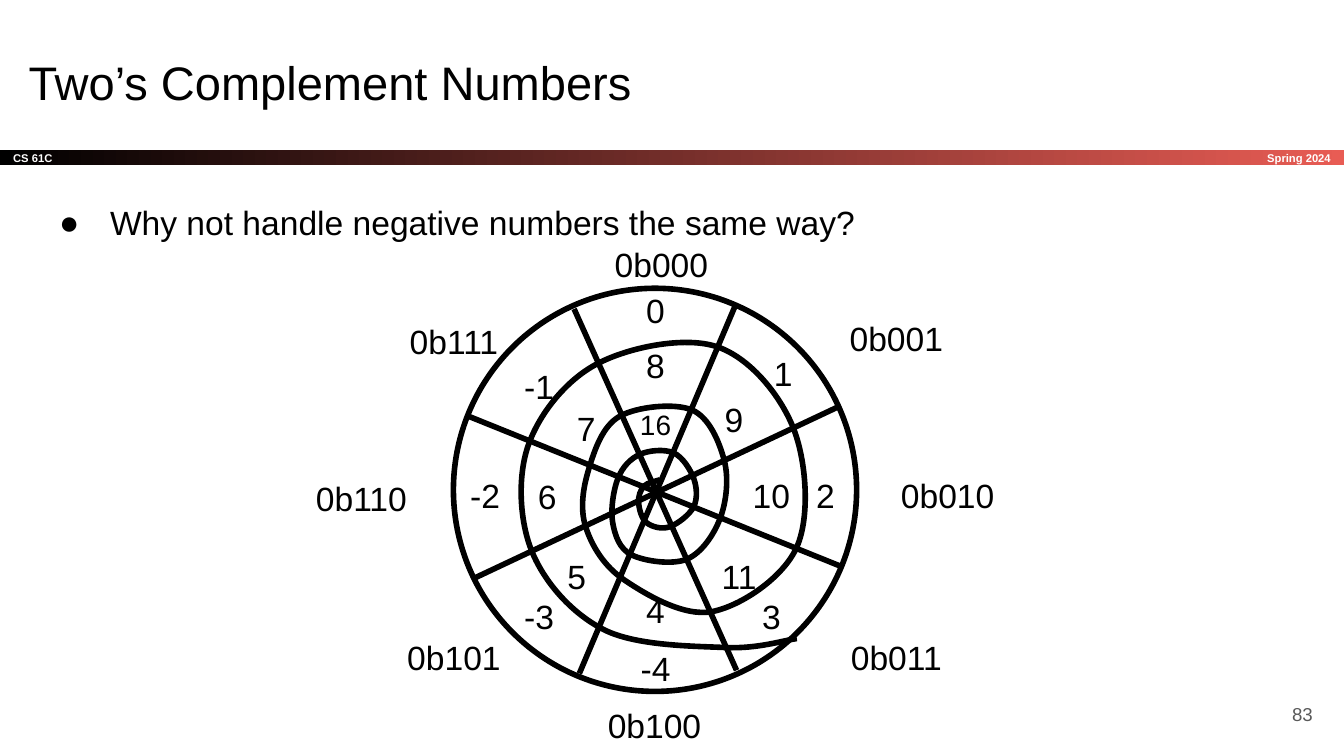
import lxml.etree
import pptx
import pptx.dml.color
import pptx.enum.shapes
import pptx.enum.text
import pptx.oxml.ns
import pptx.util

Cm, Pt = pptx.util.Cm, pptx.util.Pt
qn = pptx.oxml.ns.qn
ALIGN = pptx.enum.text.PP_ALIGN
ANCHOR = pptx.enum.text.MSO_ANCHOR
SHAPE = pptx.enum.shapes.MSO_SHAPE

# Content: lengths in cm
TITLE = "Two’s Complement Numbers"
QUESTION = "Why not handle negative numbers the same way?"
COURSE, TERM, PAGE = "CS 61C", "Spring 2024", "83"

# Text, centre x, centre y
BIT_PATTERNS = [
    ("0b000", 12.5, 4.9), ("0b001", 16.94, 6.3),
    ("0b010", 17.91, 9.27), ("0b011", 16.94, 12.33),
    ("0b100", 12.37, 13.62), ("0b101", 8.58, 12.33),
    ("0b110", 6.83, 9.32), ("0b111", 8.58, 6.36),
]
OUTER_VALUES = [
    ("0", 12.39, 5.78), ("1", 14.8, 6.96), ("2", 15.6, 9.27),
    ("3", 14.58, 11.56), ("-4", 12.39, 12.54), ("-3", 10.19, 11.56),
    ("-2", 9.17, 9.27), ("-1", 10.19, 7.21),
]
# Text, centre x, centre y, box width, font size
INNER_VALUES = [
    ("8", 12.39, 6.82, 1.22, 18), ("9", 13.87, 7.84, 1.22, 18),
    ("10", 14.58, 9.27, 1.5, 18), ("11", 13.97, 10.81, 1.22, 18),
    ("4", 12.39, 11.44, 1.5, 18), ("5", 10.9, 10.81, 1.27, 18),
    ("6", 10.34, 9.29, 1.35, 18), ("7", 11.08, 8, 1.4, 18),
    ("16", 12.39, 8, 1.75, 15),
]
SPOKES = [
    (10.85, 5.84, 13.92, 12.67), (13.89, 5.79, 10.95, 12.73),
    (8.86, 7.87, 15.93, 10.72), (8.92, 10.95, 15.82, 7.7),
]
# Points the spiral passes through, from the rim inwards
SPIRAL = [
    (15.06, 12.07), (13.72, 12.24), (11.43, 11.91), (10.06, 10.44),
    (9.98, 8.43), (11.28, 6.88), (13.54, 6.55), (14.99, 8.08),
    (15.06, 10.34), (13.46, 11.56), (11.81, 10.97), (11.07, 9.96),
    (11.13, 8.86), (11.71, 7.87), (13.08, 7.75), (13.69, 8.71),
    (13.61, 9.8), (12.98, 10.57), (11.94, 10.49), (11.58, 9.88),
    (11.68, 9.04), (12.09, 8.59), (12.73, 8.56), (13.11, 9.04),
    (13.11, 9.58), (12.65, 9.96), (12.22, 9.88), (12.07, 9.5),
    (12.17, 9.19), (12.47, 9.07),
]
LABEL_HEIGHT = 1.09


def rgb(value):
    return pptx.dml.color.RGBColor.from_string(value)


def write(shape, text, size=18, color="000000", bold=False,
          align=ALIGN.LEFT, anchor=ANCHOR.TOP):
    frame = shape.text_frame
    frame.word_wrap = True
    frame.auto_size = pptx.enum.text.MSO_AUTO_SIZE.NONE
    frame.vertical_anchor = anchor
    frame.margin_left = frame.margin_right = Cm(0.25)
    frame.margin_top = frame.margin_bottom = Cm(0.25)
    paragraph = frame.paragraphs[0]
    paragraph.alignment = align
    run = paragraph.add_run()
    run.text = text
    run.font.name = "Arial"
    run.font.size = Pt(size)
    run.font.bold = bold
    run.font.color.rgb = rgb(color)
    return paragraph


def text_box(left, top, width, height, text, **style):
    box = slide.shapes.add_textbox(Cm(left), Cm(top), Cm(width), Cm(height))
    return write(box, text, **style)


def label(text, x, y, width=1.22, size=18):
    text_box(x - width / 2, y - LABEL_HEIGHT / 2, width, LABEL_HEIGHT, text,
             size=size, align=ALIGN.CENTER)


def outline(shape, color="000000", width=3):
    shape.line.color.rgb = rgb(color)
    shape.line.width = Pt(width)


def hollow(shape, **line):
    shape.shadow.inherit = False
    shape.fill.background()
    outline(shape, **line)
    return shape


def smooth_curve(knots):
    """Draw a Catmull-Rom curve through the knots as Bezier segments."""
    padded = [knots[0], *knots, knots[-1]]
    points = []
    for a, b, c, d in zip(padded, padded[1:], padded[2:], padded[3:]):
        points.append([q + (r - p) / 6 for p, q, r in zip(a, b, c)])
        points.append([r - (s - q) / 6 for q, r, s in zip(b, c, d)])
        points.append(c)
    builder = slide.shapes.build_freeform(*map(Cm, knots[0]))
    builder.add_line_segments([(Cm(x), Cm(y)) for x, y in points], close=False)
    shape = builder.convert_to_shape()
    # Each three points become one Bezier segment
    outline_path = next(shape._element.iter(qn("a:path")))
    segments = outline_path.findall(qn("a:lnTo"))
    for first in range(0, len(segments), 3):
        bezier = lxml.etree.SubElement(outline_path, qn("a:cubicBezTo"))
        for segment in segments[first:first + 3]:
            bezier.append(segment[0])
            outline_path.remove(segment)
    return shape


presentation = pptx.Presentation()
presentation.slide_width, presentation.slide_height = Cm(25.4), Cm(14.29)
slide = presentation.slides.add_slide(presentation.slide_layouts[5])

# Gradient band with course and term
band = slide.shapes.add_shape(SHAPE.RECTANGLE, 0, Cm(2.83), Cm(25.4), Cm(0.3))
band.shadow.inherit = False
band.line.fill.background()
band.fill.gradient()
band.fill.gradient_angle = 0
for stop, color, position in zip(band.fill.gradient_stops,
                                 ("000000", "E85C54"), (0, 1)):
    stop.color.rgb = rgb(color)
    stop.position = position
band_style = dict(size=6, color="FFFFFF", bold=True, anchor=ANCHOR.MIDDLE)
write(band, COURSE, **band_style)
text_box(21.18, 2.83, 4.22, 0.3, TERM, align=ALIGN.RIGHT, **band_style)

# Title
title = slide.shapes.title
title.left, title.top = Cm(0.29), Cm(0.76)
title.width, title.height = Cm(23.67), Cm(1.6)
write(title, TITLE, size=25.2)

# Bulleted question
question_box = hollow(slide.shapes.add_shape(
    SHAPE.RECTANGLE, Cm(0.56), Cm(3.46), Cm(23.67), Cm(1.4)),
    color="FFFFFF", width=0.75)
question = write(question_box, QUESTION)
question.line_spacing = 1.15
properties = question._p.get_or_add_pPr()
properties.set("marL", str(Cm(1.27)))
properties.set("indent", str(Cm(-0.96)))
bullet_color = lxml.etree.SubElement(properties, qn("a:buClr"))
lxml.etree.SubElement(bullet_color, qn("a:srgbClr"), val="000000")
lxml.etree.SubElement(properties, qn("a:buFont"), typeface="Arial")
lxml.etree.SubElement(properties, qn("a:buChar"), char="●")

# Page number
text_box(23.54, 12.95, 1.52, 1.09, PAGE, size=10, color="595959",
         align=ALIGN.RIGHT, anchor=ANCHOR.MIDDLE)

# Wheel: rim, spokes and spiral
hollow(slide.shapes.add_shape(
    SHAPE.OVAL, Cm(8.57), Cm(5.45), Cm(7.62), Cm(7.62)))

for ends in SPOKES:
    spoke = slide.shapes.add_connector(
        pptx.enum.shapes.MSO_CONNECTOR.STRAIGHT, *map(Cm, ends))
    outline(spoke)
    lxml.etree.SubElement(spoke._element.spPr, qn("a:effectLst"))

hollow(smooth_curve(SPIRAL))

# Wheel labels
for pattern in BIT_PATTERNS:
    label(*pattern, width=3.4)
for value in OUTER_VALUES + INNER_VALUES:
    label(*value)

presentation.save("out.pptx")
